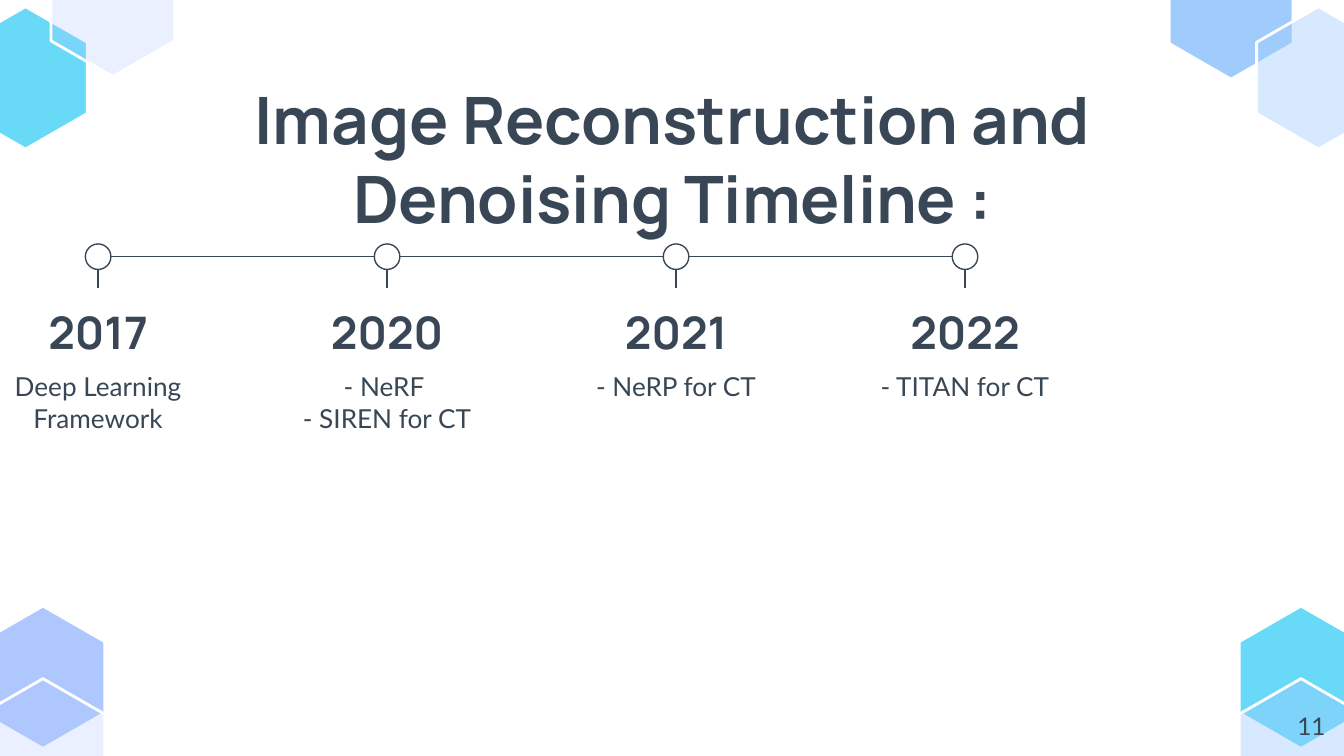
from lxml import etree
from pptx import Presentation
from pptx.dml.color import RGBColor
from pptx.enum import shapes, text
from pptx.oxml.ns import qn
from pptx.util import Inches, Pt

TITLE = "Image Reconstruction and Denoising Timeline :"
PAGE_NUMBER = "11"
MILESTONES = [
    ("2017", ["Deep Learning Framework"]),
    ("2020", ["- NeRF ", "- SIREN for CT"]),
    ("2021", ["- NeRP for CT"]),
    ("2022", ["- TITAN for CT"]),
]
# left, top, theme colour, opacity in percent
HEXAGONS = [
    (-0.14, 4.51, "periwinkle", 100),
    (-0.14, 5.05, "periwinkle", 25),
    (-0.27, 0.05, "cyan", 100),
    (0.38, -0.49, "periwinkle", 25),
    (8.7, -0.47, "sky", 100),
    (9.35, 0.05, "sky", 41),
    (9.22, 4.51, "cyan", 100),
    (9.22, 5.05, "sky", 41),
]
THEME = {
    "ink": RGBColor.from_string("384655"),
    "white": RGBColor.from_string("FFFFFF"),
    "periwinkle": RGBColor.from_string("AFC7FF"),
    "cyan": RGBColor.from_string("68DAF8"),
    "sky": RGBColor.from_string("9FCBFD"),
    "title": ("Manrope", 35, True),
    "year": ("Manrope", 24, True),
    "detail": ("Lato", 14, False),
    "number": ("Lato", 13, False),
}
HEX_WIDTH, HEX_HEIGHT = 0.92, 1.06
FIRST_X, STEP, AXIS_Y = 0.73, 2.15, 1.91
DOT, STEM_END = 0.19, 2.14
LABEL_WIDTH, LABEL_HEIGHT = 1.98, 0.63
YEAR_TOP, DETAIL_TOP = 2.14, 2.66


def write(shape, lines, style, align=text.PP_ALIGN.CENTER,
          anchor=text.MSO_ANCHOR.TOP):
    frame = shape.text_frame
    frame.text = "\n".join(lines)
    frame.word_wrap = True
    frame.auto_size = text.MSO_AUTO_SIZE.NONE
    frame.vertical_anchor = anchor
    frame.margin_left = frame.margin_right = Inches(0.1)
    frame.margin_top = frame.margin_bottom = Inches(0.1)
    name, size, bold = THEME[style]
    for paragraph in frame.paragraphs:
        paragraph.alignment = align
        font = paragraph.font
        font.name, font.size, font.bold = name, Pt(size), bold
        font.color.rgb = THEME["ink"]


def add_text(slide, box, lines, style, **options):
    shape = slide.shapes.add_textbox(*map(Inches, box))
    write(shape, lines, style, **options)


def add_hexagon(slide, left, top, colour, opacity):
    middle, right = left + HEX_WIDTH / 2, left + HEX_WIDTH
    upper, lower = top + HEX_HEIGHT / 4, top + HEX_HEIGHT * 3 / 4
    points = [(left, upper), (left, lower), (middle, top + HEX_HEIGHT),
              (right, lower), (right, upper)]
    builder = slide.shapes.build_freeform(Inches(middle), Inches(top))
    builder.add_line_segments([(Inches(x), Inches(y)) for x, y in points])
    shape = builder.convert_to_shape()
    shape.shadow.inherit = False
    shape.fill.solid()
    shape.fill.fore_color.rgb = THEME[colour]
    shape.line.color.rgb = THEME["white"]
    shape.line.width = Pt(1.5)
    if opacity < 100:
        fill_colour = shape._element.spPr.find(qn("a:solidFill"))[0]
        etree.SubElement(fill_colour, qn("a:alpha"), val=str(opacity * 1000))


def add_line(slide, *ends):
    line = slide.shapes.add_connector(
        shapes.MSO_CONNECTOR.STRAIGHT, *map(Inches, ends))
    line.line.color.rgb = THEME["ink"]
    line.line.width = Pt(0.75)
    etree.SubElement(line._element.spPr, qn("a:effectLst"))


def add_milestone(slide, x, year, details):
    radius = DOT / 2
    dot = slide.shapes.add_shape(
        shapes.MSO_SHAPE.OVAL, Inches(x - radius), Inches(AXIS_Y - radius),
        Inches(DOT), Inches(DOT))
    dot.shadow.inherit = False
    dot.fill.background()
    dot.line.color.rgb = THEME["ink"]
    dot.line.width = Pt(0.75)
    add_line(slide, x, AXIS_Y + radius, x, STEM_END)
    left = x - LABEL_WIDTH / 2
    add_text(slide, (left, YEAR_TOP, LABEL_WIDTH, LABEL_HEIGHT), [year],
             "year", anchor=text.MSO_ANCHOR.BOTTOM)
    add_text(slide, (left, DETAIL_TOP, LABEL_WIDTH, LABEL_HEIGHT), details,
             "detail")


def main():
    presentation = Presentation()
    presentation.slide_width = Inches(10)
    presentation.slide_height = presentation.slide_width * 9 // 16
    slide = presentation.slides.add_slide(presentation.slide_layouts[5])

    for hexagon in HEXAGONS:
        add_hexagon(slide, *hexagon)

    title = slide.shapes.title
    title.left, title.top = Inches(0.79), Inches(0.49)
    title.width, title.height = Inches(8.43), Inches(0.63)
    write(title, [TITLE], "title")

    for index, (year, details) in enumerate(MILESTONES):
        x = FIRST_X + index * STEP
        add_milestone(slide, x, year, details)
        if index:
            add_line(slide, x - STEP + DOT / 2, AXIS_Y, x - DOT / 2, AXIS_Y)

    add_text(slide, (9.36, 5.19, 0.6, 0.43), [PAGE_NUMBER], "number",
             align=text.PP_ALIGN.RIGHT)
    presentation.save("out.pptx")


if __name__ == "__main__":
    main()
